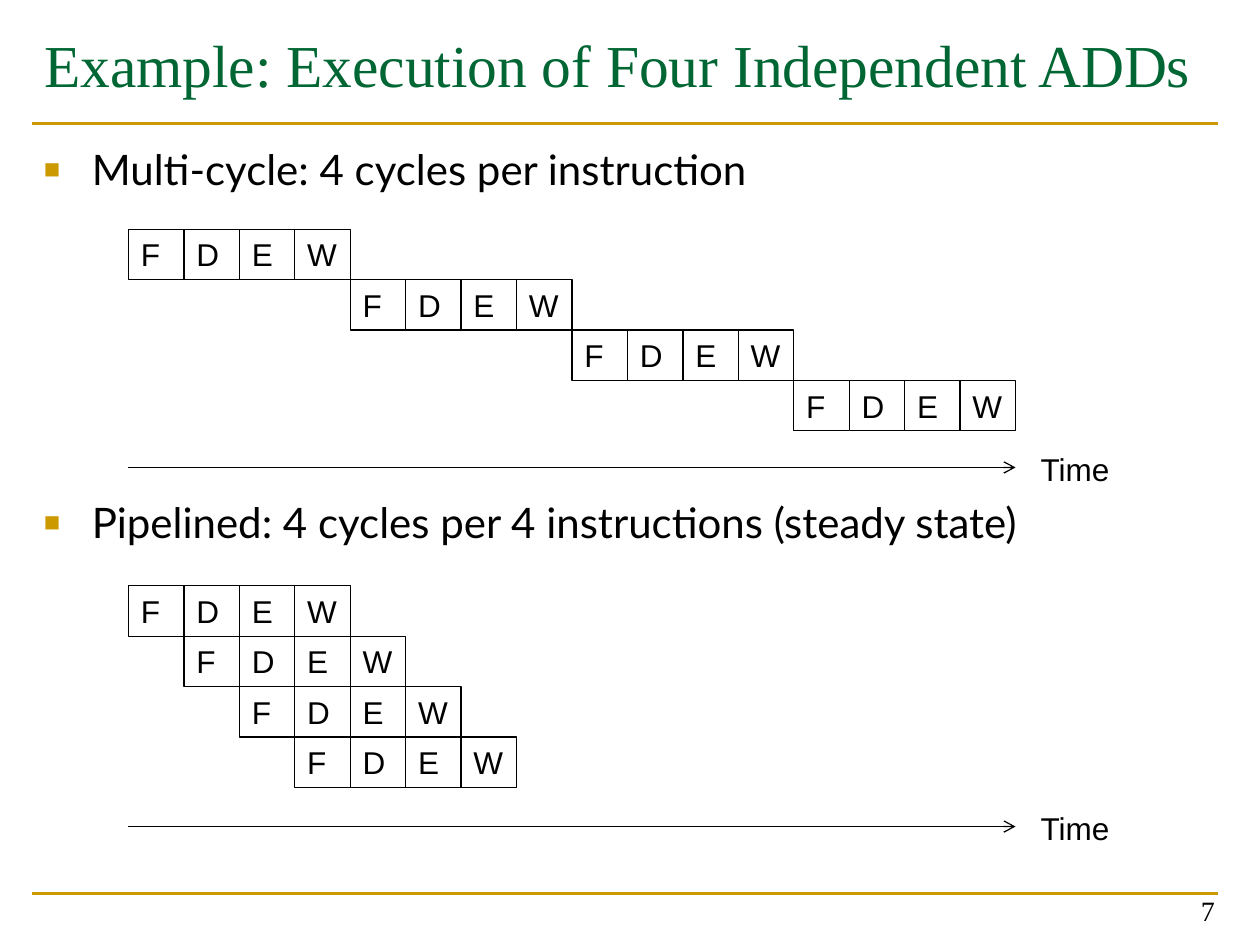
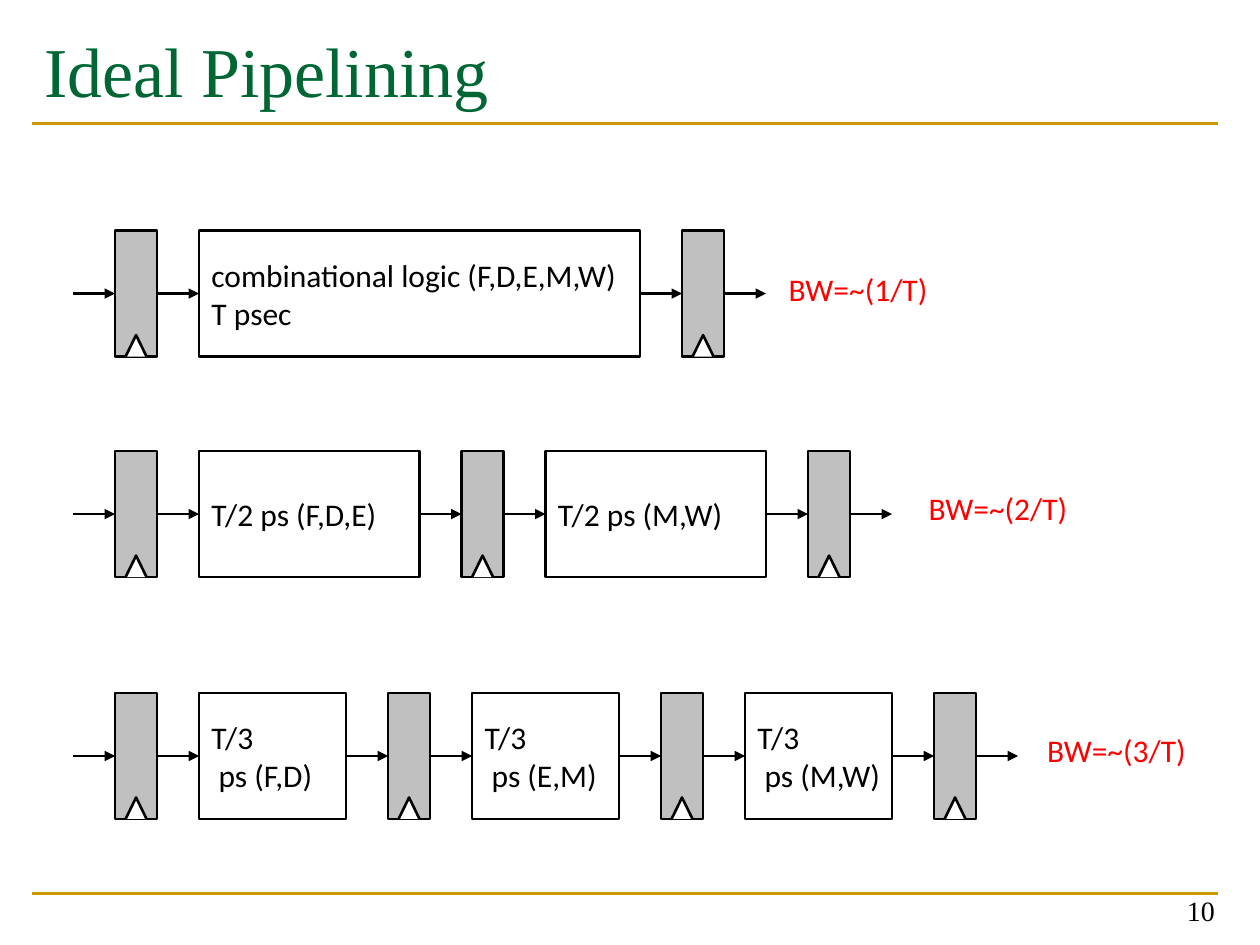
import pptx
import pptx.dml.color
import pptx.enum.shapes
import pptx.enum.text
import pptx.oxml
import pptx.oxml.ns
import pptx.util
from pptx.util import Inches

RGBColor = pptx.dml.color.RGBColor
Anchor = pptx.enum.text.MSO_ANCHOR
Align = pptx.enum.text.PP_ALIGN
AutoSize = pptx.enum.text.MSO_AUTO_SIZE
Pt = pptx.util.Pt

GREEN = RGBColor(0x00, 0x66, 0x33)
GOLD = RGBColor(0xCC, 0x99, 0x00)
BLACK = RGBColor(0x00, 0x00, 0x00)
WHITE = RGBColor(0xFF, 0xFF, 0xFF)
GRAY = RGBColor(0xC0, 0xC0, 0xC0)
RED = RGBColor(0xFF, 0x00, 0x00)

SERIF, SANS, BODY, LABEL = "Times New Roman", "Arial", "Lato", "Calibri"
TITLE_ONLY = 5


def drawing_xml(tag, **attributes):
    """Make one element of the drawing namespace."""
    element = pptx.oxml.parse_xml(f'<a:{tag} {pptx.oxml.ns.nsdecls("a")}/>')
    for name, value in attributes.items():
        element.set(name, str(value))
    return element


class SlideMaker:
    """Holds the deck, its shared style and the current page."""

    def __init__(self):
        self.deck = pptx.Presentation()
        self.deck.slide_width = Inches(10)
        self.deck.slide_height = Inches(7.5)
        self.page = None

    def start_page(self, title, title_size, number):
        self.page = self.deck.slides.add_slide(self.deck.slide_layouts[TITLE_ONLY])
        for y in (0.98, 7.09):
            self.line(0.25, y, 9.67, color=GOLD, width=1.5)
        heading = self.page.shapes.title
        heading.left, heading.top = Inches(0.25), Inches(0.17)
        heading.width, heading.height = Inches(9.42), Inches(1.17)
        heading.text_frame.auto_size = AutoSize.NONE
        self.set_text(heading, [title], title_size, SERIF, GREEN)
        self.text(7.41, 6.91, 2.33, 0.5, [str(number)], 16, SERIF,
                  align=Align.RIGHT, anchor=Anchor.BOTTOM)

    def set_text(self, box, lines, size, font, color=BLACK, align=Align.LEFT,
                 anchor=Anchor.TOP, wrap=True):
        frame = box.text_frame
        frame.word_wrap = wrap
        frame.vertical_anchor = anchor
        frame.text = "\n".join(lines)
        for para in frame.paragraphs:
            para.alignment = align
            para.font.size = Pt(size)
            para.font.name = font
            para.font.color.rgb = color

    def text(self, x, y, width, height, lines, size, font, **style):
        box = self.page.shapes.add_textbox(
            Inches(x), Inches(y), Inches(width), Inches(height))
        self.set_text(box, lines, size, font, **style)
        return box

    def bullets(self, x, y, width, height, lines, gap):
        """Bulleted lines, with a gap in points between them."""
        box = self.text(x, y, width, height, lines, 24, BODY)
        for index, para in enumerate(box.text_frame.paragraphs):
            props = para._p.get_or_add_pPr()
            props.set("marL", str(Inches(0.38)))
            props.set("indent", str(-Inches(0.38)))
            bullet_color = drawing_xml("buClr")
            bullet_color.append(drawing_xml("srgbClr", val=GOLD))
            marks = (bullet_color, drawing_xml("buSzPct", val=65000),
                     drawing_xml("buFont", typeface=SANS),
                     drawing_xml("buChar", char="■"))
            for place, mark in enumerate(marks):
                props.insert(place, mark)
            if index:
                para.space_before = Pt(gap)

    def line(self, x, y, end_x, color=BLACK, width=0.75, head=None):
        """A horizontal line, with an arrowhead at its end if one is named."""
        line = self.page.shapes.add_connector(
            pptx.enum.shapes.MSO_CONNECTOR.STRAIGHT,
            Inches(x), Inches(y), Inches(end_x), Inches(y))
        line.line.color.rgb = color
        line.line.width = Pt(width)
        props = line.element.spPr
        if head:
            outline = props.find(pptx.oxml.ns.qn("a:ln"))
            outline.append(drawing_xml("tailEnd", type=head))
        props.append(drawing_xml("effectLst"))

    def paint(self, shape, fill, width):
        shape.shadow.inherit = False
        shape.fill.solid()
        shape.fill.fore_color.rgb = fill
        shape.line.color.rgb = BLACK
        shape.line.width = Pt(width)

    def rectangle(self, x, y, width, height, fill=WHITE, outline=0.75):
        shape = self.page.shapes.add_shape(
            pptx.enum.shapes.MSO_SHAPE.RECTANGLE,
            Inches(x), Inches(y), Inches(width), Inches(height))
        self.paint(shape, fill, outline)
        return shape

    def time_axis(self, y):
        self.line(1.02, y, 8.06, head="arrow")
        label = self.text(8.16, y - 0.19, 0.75, 0.4, ["Time"], 18, SANS, wrap=False)
        label.text_frame.auto_size = AutoSize.SHAPE_TO_FIT_TEXT

    def instructions(self, y, delay):
        """Four instructions, each starting a delay of cycles after the last."""
        cycle, row_height = 0.44, 0.4
        for row in range(4):
            for step, stage in enumerate("FDEW"):
                cell = self.rectangle(1.02 + (row * delay + step) * cycle,
                                      y + row * row_height, cycle, row_height)
                self.set_text(cell, [stage], 18, SANS)

    def register(self, x, y, width):
        """A clocked register with its clock notch."""
        self.rectangle(x, y, width, 1, GRAY, 1.5)
        points = [(Inches(x + width * across), Inches(y + down))
                  for across, down in ((0.25, 1), (0.5, 0.83), (0.75, 1))]
        builder = self.page.shapes.build_freeform(*points[0])
        builder.add_line_segments(points[1:], close=False)
        self.paint(builder.convert_to_shape(), WHITE, 1.5)

    def pipeline(self, y, stages, bandwidth, label_x, label_y):
        """Registers around equal shares of the logic, joined by arrows."""
        step = 1 / 3
        logic_width = 3.5 / len(stages)
        x = 0.58
        for stage in stages + [None]:
            self.line(x, y + 0.5, x + step, width=1.5, head="triangle")
            self.register(x + step, y, step)
            self.line(x + 2 * step, y + 0.5, x + 3 * step, width=1.5, head="triangle")
            x += 3 * step
            if stage:
                logic = self.rectangle(x, y, logic_width, 1, outline=1.5)
                self.set_text(logic, stage, 18, LABEL, anchor=Anchor.MIDDLE, wrap=False)
                x += logic_width
        label = self.text(label_x, label_y, 1.48, 0.4, [bandwidth], 18, LABEL,
                          color=RED, wrap=False)
        frame = label.text_frame
        frame.margin_left = frame.margin_right = 0
        frame.margin_top = frame.margin_bottom = 0
        frame.auto_size = AutoSize.SHAPE_TO_FIT_TEXT


def main():
    maker = SlideMaker()

    # Multi-cycle against pipelined execution
    maker.start_page("Example: Execution of Four Independent ADDs", 34, 7)
    maker.bullets(0.25, 1.09, 9.42, 5.68,
                  ["Multi-cycle: 4 cycles per instruction",
                   "Pipelined: 4 cycles per 4 instructions (steady state)"], 173)
    for top, delay, axis_y in ((1.82, 4, 3.71), (4.65, 1, 6.56)):
        maker.instructions(top, delay)
        maker.time_axis(axis_y)

    # Logic split into one, two and three stages
    maker.start_page("Ideal Pipelining", 40, 10)
    maker.pipeline(1.83, [["combinational logic (F,D,E,M,W)", "T psec"]],
                   "BW=~(1/T)", 6.26, 2.14)
    maker.pipeline(3.58, [["T/2 ps (F,D,E)"], ["T/2 ps (M,W)"]],
                   "BW=~(2/T)", 7.37, 3.88)
    maker.pipeline(5.5, [["T/3", f" ps ({part})"] for part in ("F,D", "E,M", "M,W")],
                   "BW=~(3/T)", 8.31, 5.8)

    maker.deck.save("out.pptx")


if __name__ == "__main__":
    main()
